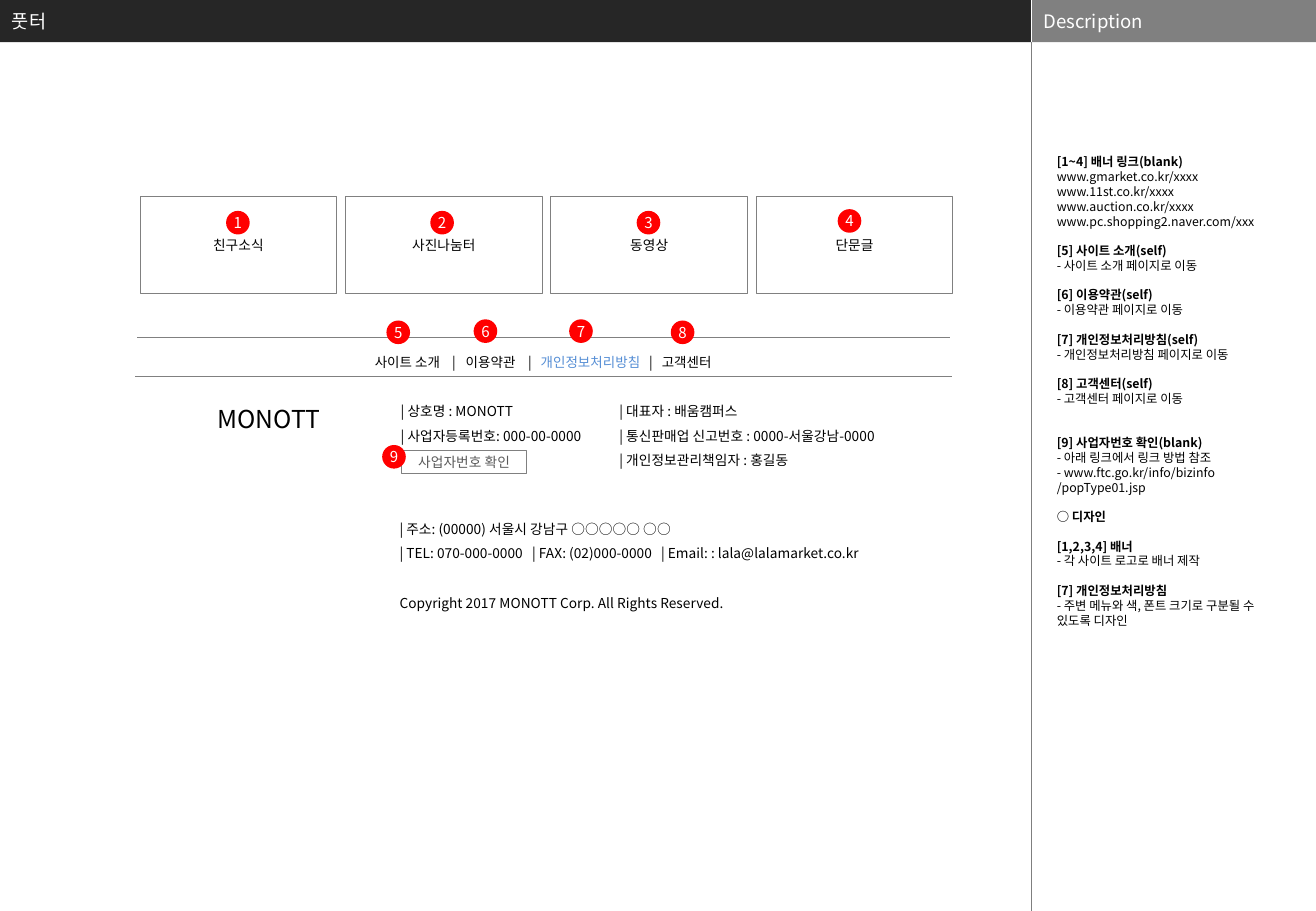
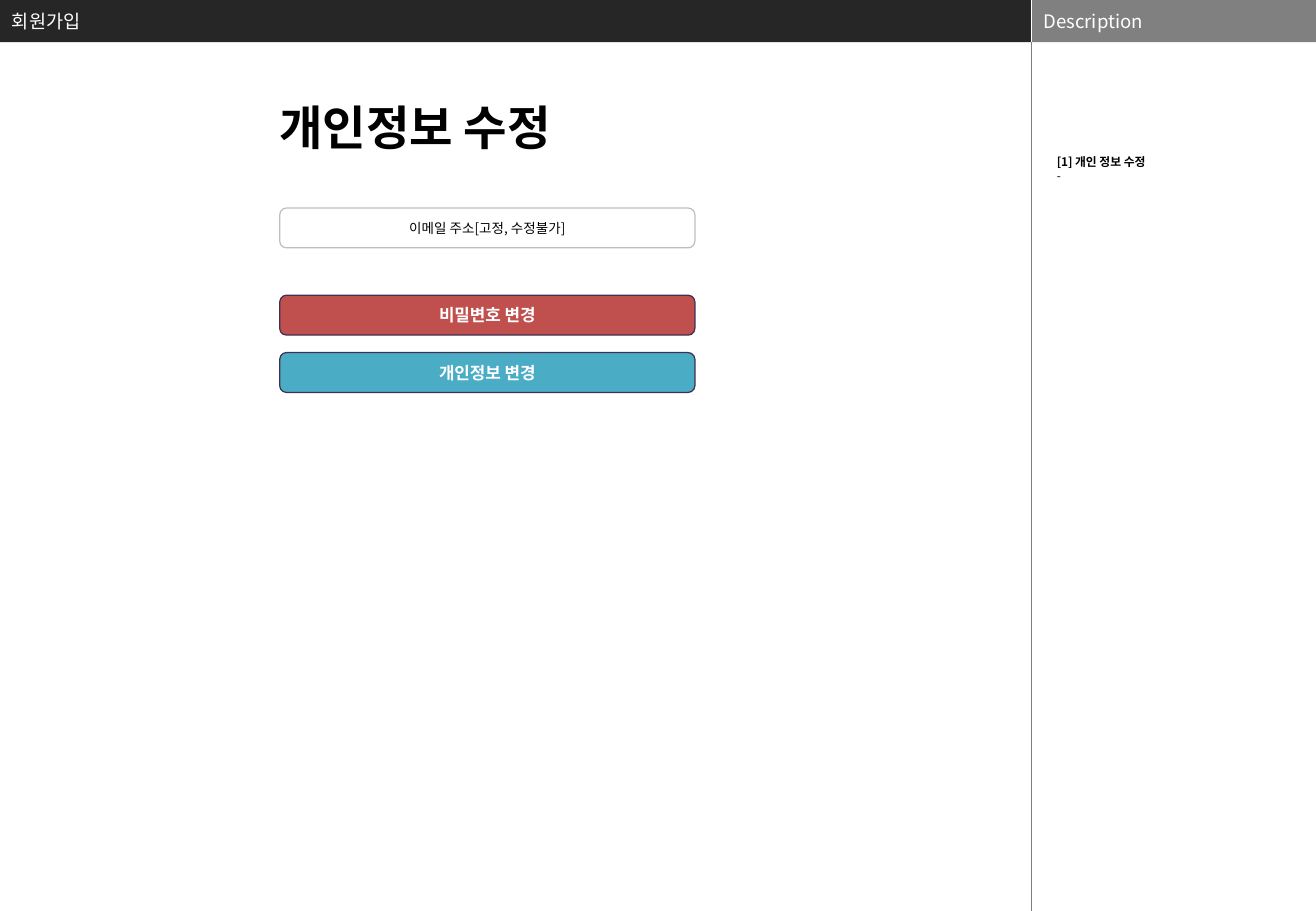
from dataclasses import dataclass

from lxml import etree
from pptx import Presentation
from pptx.dml.color import RGBColor
from pptx.enum import shapes, text
from pptx.oxml import ns
from pptx.util import Pt

COLORS = {
    "black": "000000", "white": "FFFFFF", "band": "262626", "side_band": "808080",
    "divider": "7F7F7F", "outline": "808080", "marker": "FF0000", "accent": "558ED5",
    "muted": "595959", "field": "BFBFBF", "red": "C0504D", "teal": "4BACC6",
    "button_edge": "403152",
}
FONT = "Noto Sans CJK KR"
SLIDE_W, SLIDE_H = 779.8, 540
BAND_H, DIVIDER_X = 25, 611.3
LINE_HEIGHT = 1.2
KIND = shapes.MSO_SHAPE
CENTER, LEFT = text.PP_ALIGN.CENTER, text.PP_ALIGN.LEFT


@dataclass
class Line:
    """One paragraph: spans are (text, colour, bold), gap counts empty lines above."""
    spans: list
    gap: int = 0


def plain(words, gap=0, color="black", bold=False):
    return Line([(words, color, bold)], gap)


# Groups of (gap above, heading, lines below)
FOOTER_NOTES = [
    (0, "[1~4] 배너 링크(blank)", ["www.gmarket.co.kr/xxxx", "www.11st.co.kr/xxxx",
                               "www.auction.co.kr/xxxx", "www.pc.shopping2.naver.com/xxx"]),
    (1, "[5] 사이트 소개(self)", ["- 사이트 소개 페이지로 이동"]),
    (1, "[6] 이용약관(self)", ["- 이용약관 페이지로 이동"]),
    (1, "[7] 개인정보처리방침(self)", ["- 개인정보처리방침 페이지로 이동"]),
    (1, "[8] 고객센터(self)", ["- 고객센터 페이지로 이동"]),
    (2, "[9] 사업자번호 확인(blank)", ["- 아래 링크에서 링크 방법 참조",
                                "- www.ftc.go.kr/info/bizinfo", "/popType01.jsp"]),
    (1, "○ 디자인", []),
    (1, "[1,2,3,4] 배너", ["- 각 사이트 로고로 배너 제작"]),
    (1, "[7] 개인정보처리방침", ["- 주변 메뉴와 색, 폰트 크기로 구분될 수 있도록 디자인"]),
]
SIGNUP_NOTES = [(0, "[1] 개인 정보 수정", ["-"])]

BANNERS = ["친구소식", "사진나눔터", "동영상", "단문글"]
MENU = [("\t사이트 소개\t|\t이용약관\t|\t", "black", False),
        ("개인정보처리방침", "accent", False),
        ("\t|\t고객센터", "black", False)]
MENU_TABS = [135.7, 181.6, 189.6, 226.6, 234, 298.2, 305.8]
CONTACT_TABS = [78.6, 155]
# (left, top, width, height, lines, tab stops)
COMPANY_BLOCKS = [
    (230.4, 230.4, 141, 36,
     [plain("| 상호명 : MONOTT"), plain("| 사업자등록번호: 000-00-0000")], []),
    (360, 230.4, 196, 50,
     [plain("| 대표자 : 배움캠퍼스"), plain("| 통신판매업 신고번호 : 0000-서울강남-0000"),
      plain("| 개인정보관리책임자 : 홍길동")], []),
    (229.7, 300.2, 318, 65,
     [plain("| 주소: (00000) 서울시 강남구 ○○○○○ ○○"),
      plain("| TEL: 070-000-0000\t| FAX: (02)000-0000\t| Email: : lala@lalamarket.co.kr"),
      plain("Copyright 2017 MONOTT Corp. All Rights Reserved.", gap=1)], CONTACT_TABS),
]
MARKER_SIZE = 14
MARKER_CENTERS = [(141, 132), (262, 132), (384.3, 132), (503.4, 131), (236, 197),
                  (287.7, 196.3), (344.3, 196.3), (404.5, 197), (233.5, 270.8)]
# (top, label, size, bold, text colour, fill, edge)
FORM_ROWS = [
    (123.3, "이메일 주소[고정, 수정불가]", 8, False, "black", "white", "field"),
    (175, "비밀변호 변경", 10, True, "white", "red", "button_edge"),
    (209, "개인정보 변경", 10, True, "white", "teal", "button_edge"),
]


def rgb(name):
    return RGBColor.from_string(COLORS[name])


def write(frame, lines, size, align=LEFT, pitch=None, tabs=()):
    """Fill a text frame; pitch is the exact distance between baselines."""
    frame.word_wrap = True
    for index, line in enumerate(lines):
        para = frame.paragraphs[0] if index == 0 else frame.add_paragraph()
        para.alignment = align
        if pitch:
            para.line_spacing = Pt(pitch)
        if line.gap:
            para.space_before = Pt(line.gap * pitch)
        if tabs:
            tab_list = etree.SubElement(para._p.get_or_add_pPr(), ns.qn("a:tabLst"))
            for stop in tabs:
                etree.SubElement(tab_list, ns.qn("a:tab"), pos=str(Pt(stop)), algn="l")
        for words, color, bold in line.spans:
            span = para.add_run()
            span.text = words
            span.font.size = Pt(size)
            span.font.bold = bold
            span.font.color.rgb = rgb(color)
            span.font.name = FONT
            etree.SubElement(span._r.get_or_add_rPr(), ns.qn("a:ea"), typeface=FONT)


def set_margins(target, side, end):
    target.margin_left = target.margin_right = Pt(side)
    target.margin_top = target.margin_bottom = Pt(end)


def add_text(slide, left, top, width, height, lines, size, **style):
    box = slide.shapes.add_textbox(Pt(left), Pt(top), Pt(width), Pt(height))
    write(box.text_frame, lines, size, **style)
    return box


def add_box(slide, kind, left, top, width, height, line, size,
            fill=None, edge=None, edge_width=0.5, align=CENTER, side=0):
    box = slide.shapes.add_shape(kind, Pt(left), Pt(top), Pt(width), Pt(height))
    box.shadow.inherit = False
    if fill:
        box.fill.solid()
        box.fill.fore_color.rgb = rgb(fill)
    else:
        box.fill.background()
    if edge:
        box.line.color.rgb = rgb(edge)
        box.line.width = Pt(edge_width)
    else:
        box.line.fill.background()
    frame = box.text_frame
    frame.vertical_anchor = text.MSO_ANCHOR.MIDDLE
    set_margins(frame, side, 0)
    write(frame, [line], size, align=align)


def add_divider(slide, top, bottom, color):
    line = slide.shapes.add_connector(shapes.MSO_CONNECTOR.STRAIGHT, Pt(DIVIDER_X), Pt(top),
                                      Pt(DIVIDER_X), Pt(bottom))
    line.line.color.rgb = rgb(color)
    line.line.width = Pt(0.25)
    etree.SubElement(line._element.spPr, ns.qn("a:effectLst"))


def add_page(deck, title, notes, note_size):
    """Add a slide with the title bands, the divider and the description column."""
    slide = deck.slides.add_slide(deck.slide_layouts[6])
    for left, right, label, fill in [(0, DIVIDER_X, title, "band"),
                                     (DIVIDER_X, SLIDE_W, "Description", "side_band")]:
        add_box(slide, KIND.RECTANGLE, left, 0, right - left, BAND_H,
                plain(label, color="white"), 11, fill=fill, align=LEFT, side=7.2)
    add_divider(slide, 0, BAND_H, "white")
    add_divider(slide, BAND_H, SLIDE_H, "divider")
    lines = []
    for gap, heading, details in notes:
        lines.append(plain(heading, gap, bold=True))
        lines += [plain(detail) for detail in details]
    box = add_text(slide, 624.2, 91.7, 137.5, 400, lines, note_size,
                   pitch=note_size * LINE_HEIGHT)
    set_margins(box.text_frame, 2, 0)
    return slide


def set_borders(cell, borders):
    props = cell._tc.get_or_add_tcPr()
    for position, (side, color, width) in enumerate(borders):
        border = etree.Element(ns.qn(f"a:ln{side}"), w=str(Pt(width)))
        solid = etree.SubElement(border, ns.qn("a:solidFill"))
        etree.SubElement(solid, ns.qn("a:srgbClr"), val=COLORS[color])
        props.insert(position, border)


def add_menu(slide):
    width, height = 483, 22.8
    table = slide.shapes.add_table(1, 1, Pt(80.6), Pt(200.1), Pt(width), Pt(height)).table
    table.first_row = table.horz_banding = False
    cell = table.cell(0, 0)
    cell.fill.background()
    cell.vertical_anchor = text.MSO_ANCHOR.MIDDLE
    set_margins(cell, 5.8, 2.9)
    write(cell.text_frame, [Line(MENU)], 8, pitch=17, tabs=MENU_TABS)
    set_borders(cell, [("L", "white", 1), ("R", "white", 1),
                       ("T", "outline", 0.5), ("B", "outline", 0.5)])


def build_footer(deck):
    slide = add_page(deck, "풋터", FOOTER_NOTES, 7.3)
    add_menu(slide)
    add_text(slide, 114, 235.6, 91, 25, [plain("MONOTT")], 14.6,
             align=CENTER, pitch=14.6 * LINE_HEIGHT)
    banner_w, banner_gap = 116.6, 5.1
    for index, name in enumerate(BANNERS):
        add_box(slide, KIND.RECTANGLE, 83 + index * (banner_w + banner_gap), 116.5,
                banner_w, 57.6, plain(name), 8.1, edge="outline")
    add_box(slide, KIND.RECTANGLE, 238, 266.8, 74, 14, plain("사업자번호 확인", color="muted"),
            8.1, edge="outline")
    for left, top, width, height, lines, tabs in COMPANY_BLOCKS:
        add_text(slide, left, top, width, height, lines, 8.1,
                 pitch=8.1 * LINE_HEIGHT * 1.5, tabs=tabs)
    for number, (x, y) in enumerate(MARKER_CENTERS, 1):
        add_box(slide, KIND.OVAL, x - MARKER_SIZE / 2, y - MARKER_SIZE / 2, MARKER_SIZE,
                MARKER_SIZE, plain(str(number), color="white"), 8.9, fill="marker")


def build_signup(deck):
    slide = add_page(deck, "회원가입", SIGNUP_NOTES, 7)
    add_text(slide, 158.4, 54.7, 278, 41, [plain("개인정보 수정", bold=True)], 28,
             pitch=28 * LINE_HEIGHT)
    for top, label, size, bold, color, fill, edge in FORM_ROWS:
        add_box(slide, KIND.ROUNDED_RECTANGLE, 165.8, top, 246, 23.6,
                plain(label, color=color, bold=bold), size,
                fill=fill, edge=edge, edge_width=0.75)


def main():
    deck = Presentation()
    deck.slide_width, deck.slide_height = Pt(SLIDE_W), Pt(SLIDE_H)
    build_footer(deck)
    build_signup(deck)
    deck.save("out.pptx")


if __name__ == "__main__":
    main()
